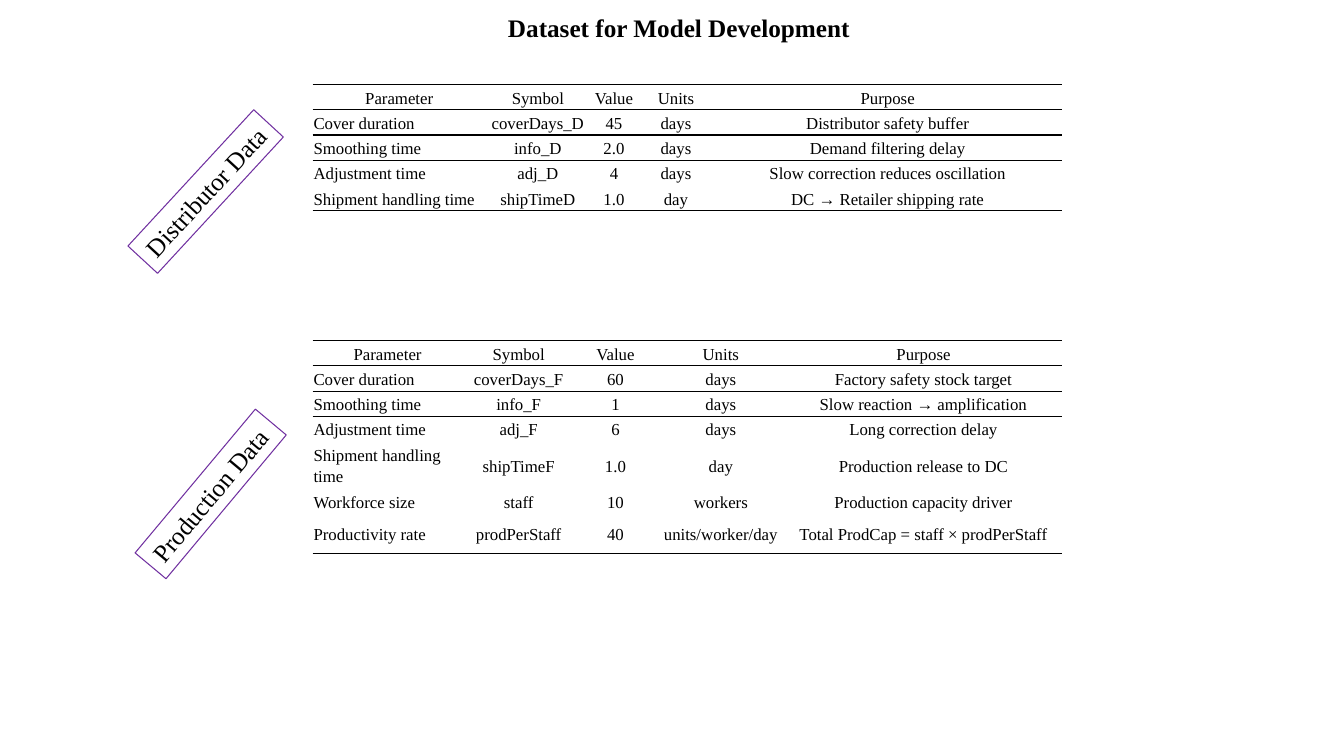
from dataclasses import dataclass

from lxml.etree import SubElement
from pptx import Presentation
from pptx.dml.color import RGBColor
from pptx.enum.text import MSO_ANCHOR as Anchor, MSO_AUTO_SIZE as AutoSize, PP_ALIGN as Align
from pptx.oxml.ns import qn
from pptx.util import Inches, Pt


@dataclass(frozen=True)
class Theme:
    font: str = "Times New Roman"
    ink: str = "000000"
    frame: str = "7030A0"
    heading_size: int = 18
    cell_size: int = 12
    rule_width: float = 1
    frame_width: float = 0.75
    plain_table: str = "{2D5ABB26-0587-4C30-8999-92F81FD0307C}"


theme = Theme()


def write(frame, text, size=theme.heading_size, bold=False, align=Align.LEFT, spacing=None, after=None):
    paragraph = frame.paragraphs[0]
    paragraph.alignment = align
    paragraph.line_spacing = spacing
    paragraph.space_after = after
    run = paragraph.add_run()
    run.text = text
    run.font.name = theme.font
    run.font.size = Pt(size)
    run.font.bold = bold
    run.font.color.rgb = RGBColor.from_string(theme.ink)


def rule(cell, side):
    line = SubElement(cell._tc.get_or_add_tcPr(), qn(f"a:{side}"), w=str(Pt(theme.rule_width)))
    fill = SubElement(line, qn("a:solidFill"))
    SubElement(fill, qn("a:srgbClr"), val=theme.ink)


header = ("Parameter", "Symbol", "Value", "Units", "Purpose")
distributor_rows = [
    header,
    ("Cover duration", "coverDays_D", "45", "days", "Distributor safety buffer"),
    ("Smoothing time", "info_D", "2.0", "days", "Demand filtering delay"),
    ("Adjustment time", "adj_D", "4", "days", "Slow correction reduces oscillation"),
    ("Shipment handling time", "shipTimeD", "1.0", "day", "DC → Retailer shipping rate"),
]
production_rows = [
    header,
    ("Cover duration", "coverDays_F", "60", "days", "Factory safety stock target"),
    ("Smoothing time", "info_F", "1", "days", "Slow reaction → amplification"),
    ("Adjustment time", "adj_F", "6", "days", "Long correction delay"),
    ("Shipment handling time", "shipTimeF", "1.0", "day", "Production release to DC"),
    ("Workforce size", "staff", "10", "workers", "Production capacity driver"),
    ("Productivity rate", "prodPerStaff", "40", "units/worker/day", "Total ProdCap = staff × prodPerStaff"),
]
datasets = [
    (0.84, distributor_rows, (1.72, 1.03, 0.48, 0.75, 3.45), [0.25] * 5),
    (3.38, production_rows, (1.49, 1.11, 0.81, 1.28, 2.74), [0.25] * 4 + [0.47, 0.25, 0.39]),
]
labels = [
    ("Production Data", 1.16, 4.7, 1.86, 309.9),
    ("Distributor Data", 1.12, 1.7, 1.84, 312.7),
]

deck = Presentation()
deck.slide_width = Inches(13.33)
deck.slide_height = Inches(7.5)
slide = deck.slides.add_slide(deck.slide_layouts[6])

for top, rows, widths, heights in datasets:
    table = slide.shapes.add_table(
        len(rows), len(header), Inches(3.1), Inches(top), Inches(sum(widths)), Inches(sum(heights))
    ).table
    table.first_row = False
    table.horz_banding = False
    table._tbl.tblPr[0].text = theme.plain_table
    for column, width in zip(table.columns, widths):
        column.width = Inches(width)
    for row_index, (row, height) in enumerate(zip(rows, heights)):
        table.rows[row_index].height = Inches(height)
        for column_index, text in enumerate(row):
            cell = table.cell(row_index, column_index)
            cell.margin_left = cell.margin_right = Inches(0.01)
            cell.margin_top = cell.margin_bottom = Inches(0.01)
            cell.vertical_anchor = Anchor.MIDDLE
            is_name = column_index == 0 and row_index > 0
            write(cell.text_frame, text, size=theme.cell_size, spacing=1.15, after=Pt(8),
                  align=Align.LEFT if is_name else Align.CENTER)
            if row_index < 3:
                rule(cell, "lnT")
            if row_index < 2 or row_index == len(rows) - 1:
                rule(cell, "lnB")
            cell.fill.background()

title = slide.shapes.add_textbox(Inches(4.94), Inches(0.07), Inches(3.76), Inches(0.4))
title.text_frame.word_wrap = True
title.text_frame.auto_size = AutoSize.SHAPE_TO_FIT_TEXT
write(title.text_frame, "Dataset for Model Development", bold=True)

for text, left, top, width, angle in labels:
    label = slide.shapes.add_textbox(Inches(left), Inches(top), Inches(width), Inches(0.4))
    label.rotation = angle
    label.line.color.rgb = RGBColor.from_string(theme.frame)
    label.line.width = Pt(theme.frame_width)
    label.text_frame.word_wrap = False
    label.text_frame.auto_size = AutoSize.SHAPE_TO_FIT_TEXT
    write(label.text_frame, text)

deck.save("out.pptx")
